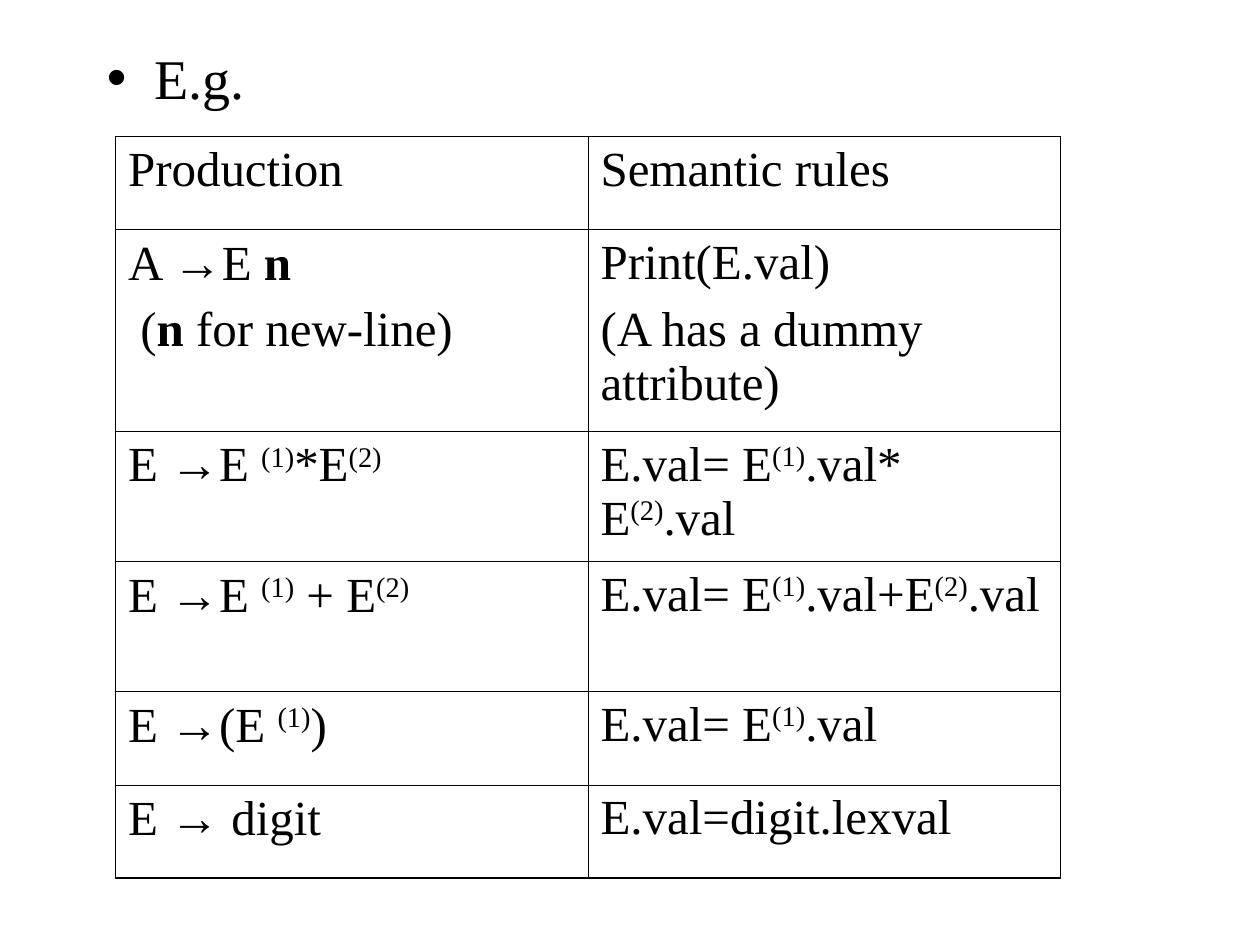
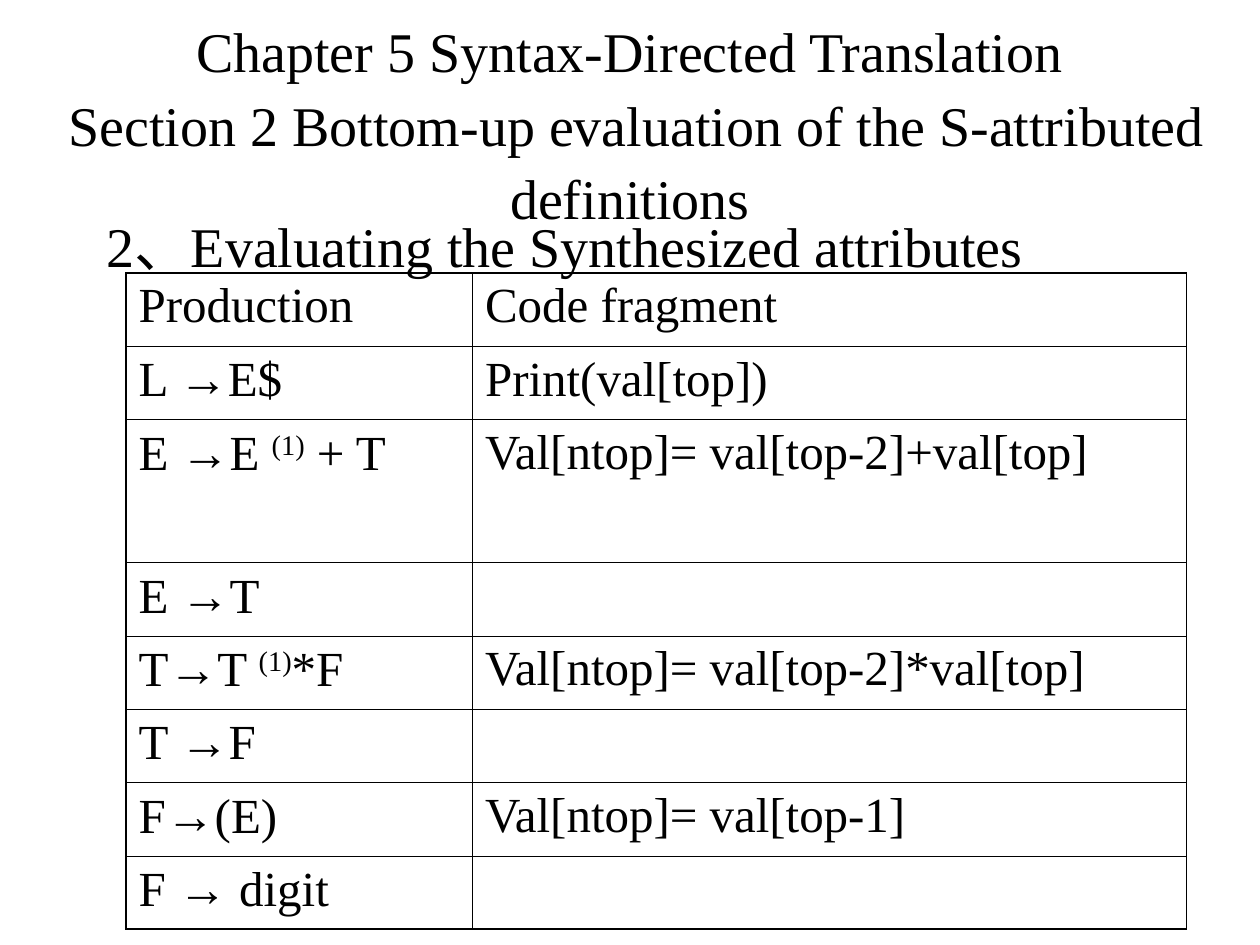
from dataclasses import dataclass

from lxml.etree import SubElement
from pptx import Presentation
from pptx.dml.color import RGBColor
from pptx.enum.text import MSO_ANCHOR, PP_ALIGN
from pptx.oxml.ns import qn
from pptx.slide import Slide
from pptx.table import _Cell
from pptx.text.text import TextFrame
from pptx.util import Pt

INK = "000000"
SERIF = "Times New Roman"
ARROW = "→"
BOLD = "n"
SUPER = ("(1)", "(2)")
THICK, THIN = 1.08, 0.45


@dataclass
class Box:
    left: float
    top: float
    width: float
    height: float


@dataclass
class Grid:
    left: float
    top: float
    cols: list[float]
    rows: list[float]
    cells: list[tuple[str, str]]


RULES = Grid(66, 78, [270, 270], [53.3, 114.3, 74.4, 74.4, 53.3, 53.3], [
    ("Production", "Semantic rules"),
    ("A |→|E |n\n (|n| for new-line)", "Print(E.val)\n(A has a dummy attribute)"),
    ("E |→|E |(1)|*E|(2)", "E.val= E|(1)|.val* E|(2)|.val"),
    ("E |→|E |(1)| + E|(2)", "E.val= E|(1)|.val+E|(2)|.val"),
    ("E |→|(E |(1)|)", "E.val= E|(1)|.val"),
    ("E |→| digit", "E.val=digit.lexval"),
])

CODE = Grid(72, 156, [198, 408], [41.9, 41.9, 81.7] + [41.9] * 5, [
    ("Production", "Code fragment"),
    ("L |→|E$", "Print(val[top])"),
    ("E |→|E |(1)| + T", "Val[ntop]= val[top-2]+val[top]"),
    ("E |→|T", ""),
    ("T|→|T |(1)|*F", "Val[ntop]= val[top-2]*val[top]"),
    ("T |→|F", ""),
    ("F|→|(E)", "Val[ntop]= val[top-1]"),
    ("F |→| digit", ""),
])


def paint(code: str) -> RGBColor:
    return RGBColor.from_string(code)


def write(frame: TextFrame, text: str, *, size: float = 32, space: float = 8,
          line: float = 1.09, align: PP_ALIGN = PP_ALIGN.LEFT,
          hang: float = 0, mark: str = "") -> None:
    for num, part in enumerate(text.split("\n")):
        para = frame.add_paragraph() if num else frame.paragraphs[0]
        para.alignment = align
        para.space_before = Pt(space)
        para.line_spacing = line
        props = para._p.get_or_add_pPr()
        if hang:
            props.set("marL", str(Pt(hang)))
            props.set("indent", str(-Pt(hang)))
        if mark:
            SubElement(props, qn("a:buFont"), typeface="Arial")
            SubElement(props, qn("a:buChar"), char=mark)
        for piece in part.split("|"):
            if piece == "\v":
                para.add_line_break()
                continue
            run = para.add_run()
            run.text = piece
            run.font.size = Pt(size)
            run.font.name = "Arial" if piece == ARROW else SERIF
            run.font.bold = piece == BOLD
            run.font.color.rgb = paint(INK)
            if piece in SUPER:
                run.font._element.set("baseline", "30000")


def add_text(slide: Slide, box: Box, text: str,
             anchor: MSO_ANCHOR = MSO_ANCHOR.TOP, **form) -> None:
    shape = slide.shapes.add_textbox(
        Pt(box.left), Pt(box.top), Pt(box.width), Pt(box.height))
    frame = shape.text_frame
    frame.word_wrap = True
    frame.vertical_anchor = anchor
    write(frame, text, **form)


def edge(cell: _Cell, outer: dict[str, bool]) -> None:
    props = cell._tc.get_or_add_tcPr()
    for side, thick in outer.items():
        width = Pt(THICK if thick else THIN)
        line = SubElement(props, qn(f"a:ln{side}"), w=str(width))
        fill = SubElement(line, qn("a:solidFill"))
        SubElement(fill, qn("a:srgbClr"), val=INK)


def add_grid(slide: Slide, grid: Grid) -> None:
    high, wide = len(grid.rows), len(grid.cols)
    table = slide.shapes.add_table(
        high, wide, Pt(grid.left), Pt(grid.top),
        Pt(sum(grid.cols)), Pt(sum(grid.rows))).table
    table.first_row = table.horz_banding = False
    for col, width in zip(table.columns, grid.cols):
        col.width = Pt(width)
    for y, (row, texts) in enumerate(zip(table.rows, grid.cells)):
        row.height = Pt(grid.rows[y])
        for x, text in enumerate(texts):
            cell = table.cell(y, x)
            edge(cell, {"L": x == 0, "R": x == wide - 1,
                        "T": y == 0, "B": y == high - 1})
            cell.fill.background()
            if text:
                write(cell.text_frame, text, size=28, space=7, line=1.0)


def main() -> None:
    deck = Presentation()
    deck.slide_width, deck.slide_height = Pt(720), Pt(540)
    blank = deck.slide_layouts[6]

    first = deck.slides.add_slide(blank)
    add_text(first, Box(54, 18, 612, 474), "E.g.", hang=27, mark="•")
    add_grid(first, RULES)

    second = deck.slides.add_slide(blank)
    add_text(second, Box(0, 12, 720, 114),
             "Chapter 5 Syntax-Directed Translation|\v| Section 2 Bottom-up "
             "evaluation of the S-attributed definitions",
             anchor=MSO_ANCHOR.MIDDLE, space=0, align=PP_ALIGN.CENTER)
    add_text(second, Box(54, 114, 612, 360),
             "2、Evaluating the Synthesized attributes", hang=27)
    add_grid(second, CODE)

    deck.save("out.pptx")


if __name__ == "__main__":
    main()
